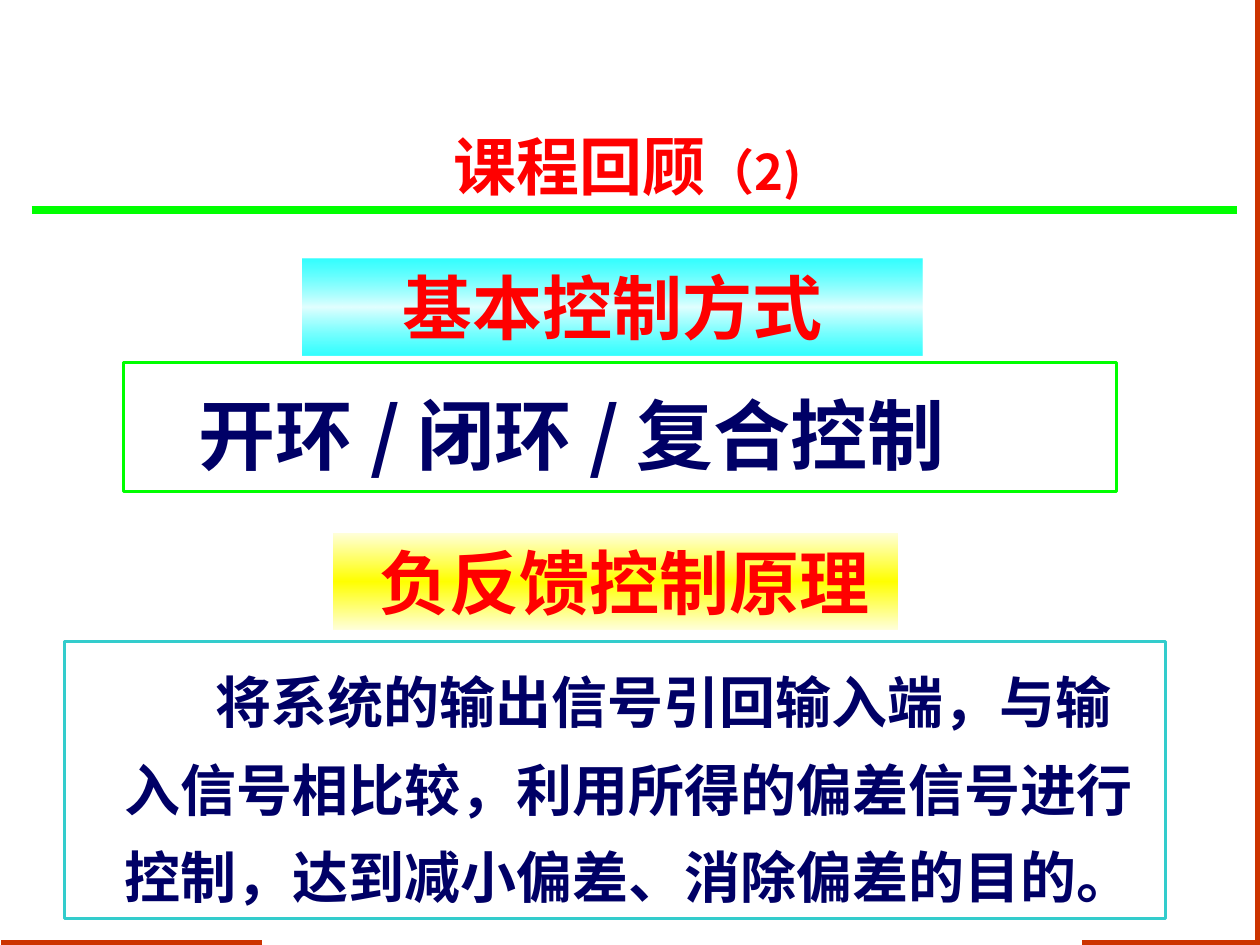
from lxml.etree import SubElement
from pptx import Presentation
from pptx.dml.color import RGBColor
from pptx.enum.shapes import MSO_CONNECTOR, MSO_SHAPE
from pptx.enum.text import MSO_ANCHOR, PP_ALIGN
from pptx.oxml import parse_xml
from pptx.oxml.ns import nsdecls, qn
from pptx.util import Inches, Pt

RED, NAVY, GREEN, RUST, TEAL = "FF0000", "000066", "00FF00", "CC3300", "33CCCC"
SERIF, SANS = "Times New Roman", "Noto Sans CJK JP"


def colour(value):
    return RGBColor.from_string(value)


class SlideBuilder:
    def __init__(self, slide):
        self.slide = slide

    def line(self, start, end, hex_colour, width):
        rule = self.slide.shapes.add_connector(
            MSO_CONNECTOR.STRAIGHT, *(Inches(v) for v in start + end))
        rule.line.color.rgb = colour(hex_colour)
        rule.line.width = Pt(width)
        SubElement(rule._element.spPr, qn("a:effectLst"))

    def box(self, place, border=None, gradient=None):
        panel = self.slide.shapes.add_shape(
            MSO_SHAPE.RECTANGLE, *(Inches(v) for v in place))
        panel.shadow.inherit = False
        panel.fill.background()
        if border:
            panel.line.color.rgb = colour(border)
            panel.line.width = Pt(1.75)
        else:
            panel.line.fill.background()
        if gradient:
            self.fill_gradient(panel, *gradient)
        return panel

    def fill_gradient(self, panel, edge, middle, edge_alpha):
        """Vertical gradient with the same colour at top and bottom."""
        stops = "".join(
            f'<a:gs pos="{pos * 1000}"><a:srgbClr val="{value}">'
            f'<a:alpha val="{alpha * 1000}"/></a:srgbClr></a:gs>'
            for pos, value, alpha in ((0, edge, edge_alpha), (50, middle, 100),
                                      (100, edge, edge_alpha)))
        properties = panel._element.spPr
        old_fill = properties.find(qn("a:noFill"))
        properties.replace(old_fill, parse_xml(
            f'<a:gradFill {nsdecls("a")} rotWithShape="1"><a:gsLst>{stops}</a:gsLst>'
            '<a:lin ang="5400000" scaled="1"/></a:gradFill>'))

    def text(self, panel, words, size, hex_colour, font=SERIF, align=PP_ALIGN.CENTER,
             anchor=MSO_ANCHOR.TOP, spacing=1.0, margin=0, indent=0):
        frame = panel.text_frame
        frame.word_wrap = True
        frame.vertical_anchor = anchor
        paragraph = frame.paragraphs[0]
        paragraph.alignment = align
        paragraph.line_spacing = spacing
        properties = paragraph._p.get_or_add_pPr()
        properties.set("marL", str(Inches(margin)))
        properties.set("indent", str(Inches(indent)))
        paragraph.font.size = Pt(size)
        paragraph.font.name = font
        paragraph.font.bold = True
        paragraph.font.color.rgb = colour(hex_colour)
        paragraph.add_run().text = words
        return paragraph


def main():
    deck = Presentation()
    deck.slide_width, deck.slide_height = Inches(10), Inches(7.5)
    page = SlideBuilder(deck.slides.add_slide(deck.slide_layouts[6]))

    # Frame lines and header rule
    page.line((2.08, 7.48), (0.01, 7.48), RUST, 3)
    page.line((9.98, 7.5), (9.98, 0), RUST, 3)
    page.line((9.96, 7.48), (8.59, 7.48), RUST, 3)
    page.line((0.25, 1.67), (9.82, 1.67), GREEN, 4.5)

    # Course review heading
    review = page.slide.shapes.add_textbox(
        Inches(0.07), Inches(0.98), Inches(9.83), Inches(0.67))
    heading = page.text(review, "课程回顾", 36, RED, anchor=MSO_ANCHOR.MIDDLE)
    number = heading.add_run()
    number.text = "（2)"
    number.font.size = Pt(28)
    number.font.name = SANS

    # Basic control modes
    modes_title = page.box((2.4, 2.05, 4.92, 0.77), gradient=("00FFFF", "E2FFFF", 80))
    page.text(modes_title, "基本控制方式", 40, RED, anchor=MSO_ANCHOR.MIDDLE)
    modes = page.box((0.98, 2.88, 7.88, 1.02), border=GREEN)
    page.text(modes, "开环 / 闭环 / 复合控制", 44, NAVY, SANS, PP_ALIGN.JUSTIFY,
              spacing=1.2, margin=0.81, indent=-0.31)

    # Negative feedback principle
    principle_title = page.box((2.64, 4.23, 4.49, 0.77), gradient=("FFFFDA", "FFFF00", 100))
    page.text(principle_title, "负反馈控制原理", 40, RED, margin=0.14)
    principle = page.box((0.51, 5.09, 8.74, 2.2), border=TEAL)
    page.text(principle,
              "将系统的输出信号引回输入端，与输入信号相比较，利用所得的偏差信号进行控制，"
              "达到减小偏差、消除偏差的目的。",
              32, NAVY, align=PP_ALIGN.LEFT, spacing=1.3, margin=0.38, indent=0.72)

    deck.save("out.pptx")


if __name__ == "__main__":
    main()
